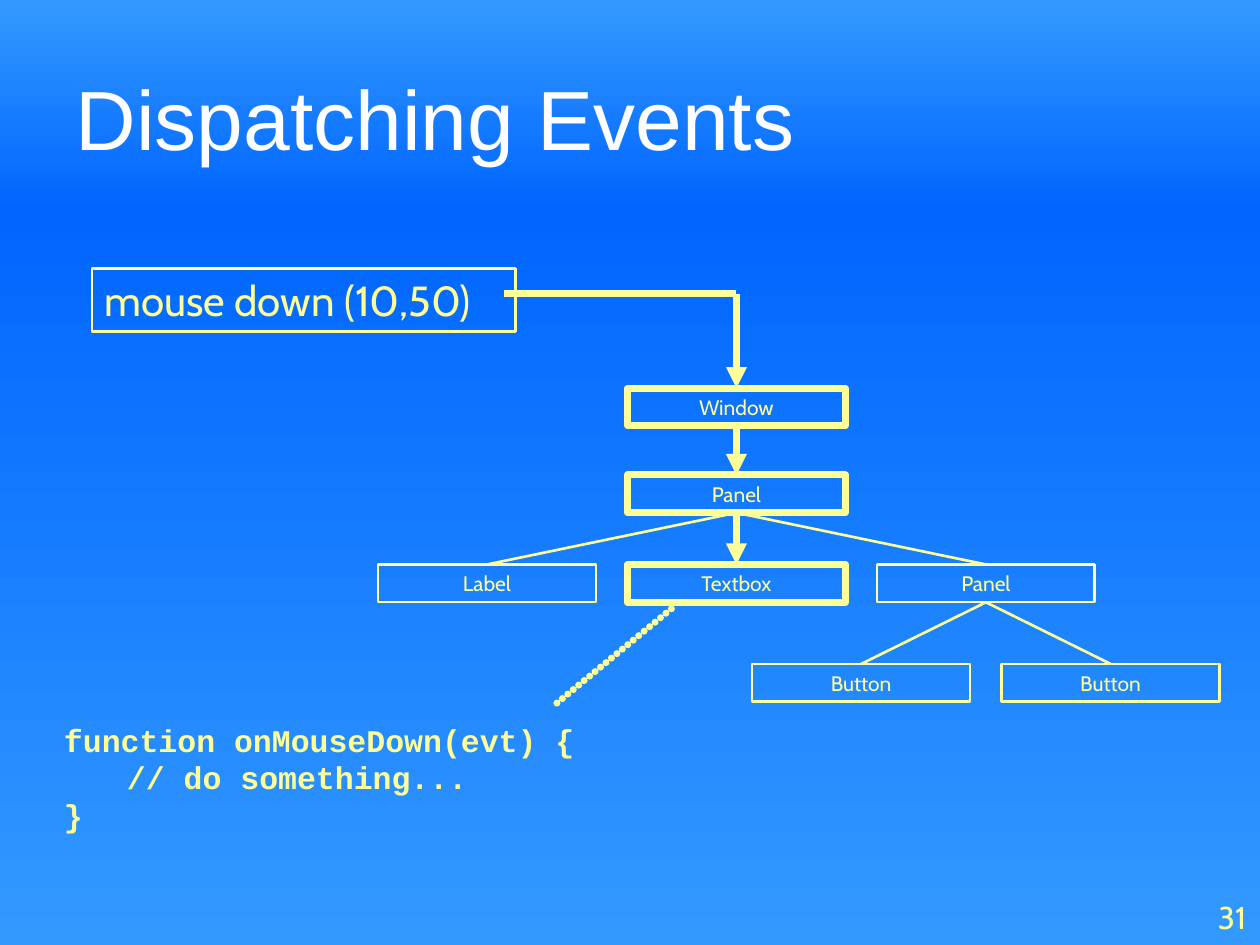
from lxml.etree import SubElement
from pptx import Presentation
from pptx.dml.color import RGBColor
from pptx.enum.shapes import MSO_CONNECTOR as CONN, MSO_SHAPE as SHAPE
from pptx.enum.text import MSO_ANCHOR as ANCHOR, PP_ALIGN as ALIGN
from pptx.oxml.ns import qn
from pptx.util import Inches, Pt

W, H = 10, 7.5
YELLOW, WHITE, SKY, BLUE = "FFFF99", "FFFFFF", "3399FF", "0066FF"
THIN, THICK = 1.5, 4
TOP, BOTTOM = 0, 2

# Tree grid: half columns, with a top edge for each row
COL, LEFT, NODE_W, NODE_H = 0.99, 3, 1.73, 0.3
ROWS = [3.08, 3.77, 4.48, 5.27]
NODES = {  # name: (label, column, row, line width)
    "window": ("Window", 2, 0, THICK),
    "main panel": ("Panel", 2, 1, THICK),
    "textbox": ("Textbox", 2, 2, THICK),
    "label": ("Label", 0, 2, THIN),
    "side panel": ("Panel", 4, 2, THIN),
    "left button": ("Button", 3, 3, THIN),
    "right button": ("Button", 5, 3, THIN),
}
EDGES = [  # parent, child, on the event path
    ("window", "main panel", True),
    ("main panel", "textbox", True),
    ("main panel", "label", False),
    ("main panel", "side panel", False),
    ("side panel", "left button", False),
    ("side panel", "right button", False),
]
CODE = ["function onMouseDown(evt) {", "\t// do something...", "}"]


def rgb(color):
    return RGBColor.from_string(color)


def inches(box):
    return [Inches(v) for v in box]


def write(shape, lines, color=YELLOW, align=ALIGN.LEFT, anchor=ANCHOR.TOP, tab=None, **fmt):
    tf = shape.text_frame
    tf.word_wrap = True
    tf.vertical_anchor = anchor
    for i, line in enumerate(lines):
        p = tf.paragraphs[0] if i == 0 else tf.add_paragraph()
        p.alignment = align
        if tab:
            tabs = SubElement(p._p.get_or_add_pPr(), qn("a:tabLst"))
            SubElement(tabs, qn("a:tab"), pos=str(Inches(tab)), algn="l")
        r = p.add_run()
        r.text = line
        r.font.color.rgb = rgb(color)
        for key, value in fmt.items():
            setattr(r.font, key, value)


def add_box(s, box, text, size, width, align):
    sp = s.shapes.add_shape(SHAPE.RECTANGLE, *inches(box))
    sp.shadow.inherit = False
    sp.fill.background()
    sp.line.color.rgb = rgb(YELLOW)
    sp.line.width = Pt(width)
    write(sp, [text], align=align, size=Pt(size), name="Cabin")
    return sp


def add_line(s, start, end, width, arrow=False, dotted=False):
    line = s.shapes.add_connector(CONN.STRAIGHT, *start, *end)
    line.line.color.rgb = rgb(YELLOW)
    line.line.width = Pt(width)
    ln = line.line._get_or_add_ln()
    if dotted:
        ln.set("cap", "rnd")
        dash = SubElement(ln, qn("a:custDash"))
        SubElement(dash, qn("a:ds"), d="100000", sp="1000")
    if arrow:
        SubElement(ln, qn("a:tailEnd"), type="triangle")
    SubElement(line._element.spPr, qn("a:effectLst"))
    return line


def add_background(s, split):
    # Two gradient bands that meet at the split
    for top, height, colors in ((0, split, (SKY, BLUE)), (split, H - split, (BLUE, SKY))):
        sp = s.shapes.add_shape(SHAPE.RECTANGLE, *inches((0, top, W, height)))
        sp.shadow.inherit = False
        sp.line.fill.background()
        sp.fill.gradient()
        sp.fill.gradient_angle = 270
        for position, (stop, color) in enumerate(zip(sp.fill.gradient_stops, colors)):
            stop.position = position
            stop.color.rgb = rgb(color)


def add_title(s, box, text):
    title = s.shapes.title
    title.left, title.top, title.width, title.height = inches(box)
    write(title, [text], WHITE, anchor=ANCHOR.MIDDLE, size=Pt(48), name="Arial")
    s.shapes._spTree.append(title._element)  # in front of the bands


def add_text(s, box, lines, **fmt):
    write(s.shapes.add_textbox(*inches(box)), lines, **fmt)


def add_tree(s):
    nodes = {}
    for name, (label, col, row, width) in NODES.items():
        box = (LEFT + col * COL, ROWS[row], NODE_W, NODE_H)
        nodes[name] = add_box(s, box, label, 12, width, ALIGN.CENTER)
    for parent, child, on_path in EDGES:
        line = add_line(s, (0, 0), (0, 0), THICK if on_path else THIN, arrow=on_path)
        line.begin_connect(nodes[parent], BOTTOM)
        line.end_connect(nodes[child], TOP)
    return nodes


def add_event(s, box, text, window):
    # The event box, and its path round the corner into the window
    add_box(s, box, text, 24, THIN, ALIGN.LEFT)
    x, y, w, h = box
    middle = window.left + window.width // 2
    corner = (middle, Inches(y + 0.2))
    add_line(s, (Inches(x + w - 0.09), corner[1]), corner, THICK)
    drop = add_line(s, corner, (middle, window.top), THICK, arrow=True)
    drop.end_connect(window, TOP)


def add_handler(s, box):
    add_text(s, box, CODE, tab=0.5, size=Pt(18), name="Courier New", bold=True)
    x, y, w, h = box
    add_line(s, inches((x + 4.01, y - 0.09)), inches((x + 4.92, y - 0.84)), THICK, dotted=True)


def main():
    prs = Presentation()
    prs.slide_width, prs.slide_height = Inches(W), Inches(H)
    s = prs.slides.add_slide(prs.slide_layouts[5])
    add_background(s, 1.67)
    add_text(s, (9.32, 7.08, 0.67, 0.42), ["31"], align=ALIGN.RIGHT, size=Pt(18), name="Cabin")
    add_title(s, (0.5, 0.3, 9, 1.25), "Dispatching Events")
    nodes = add_tree(s)
    add_event(s, (0.73, 2.13, 3.36, 0.5), "mouse down (10,50)", nodes["window"])
    add_handler(s, (0.41, 5.67, 4.4, 1))
    prs.save("out.pptx")


if __name__ == "__main__":
    main()
